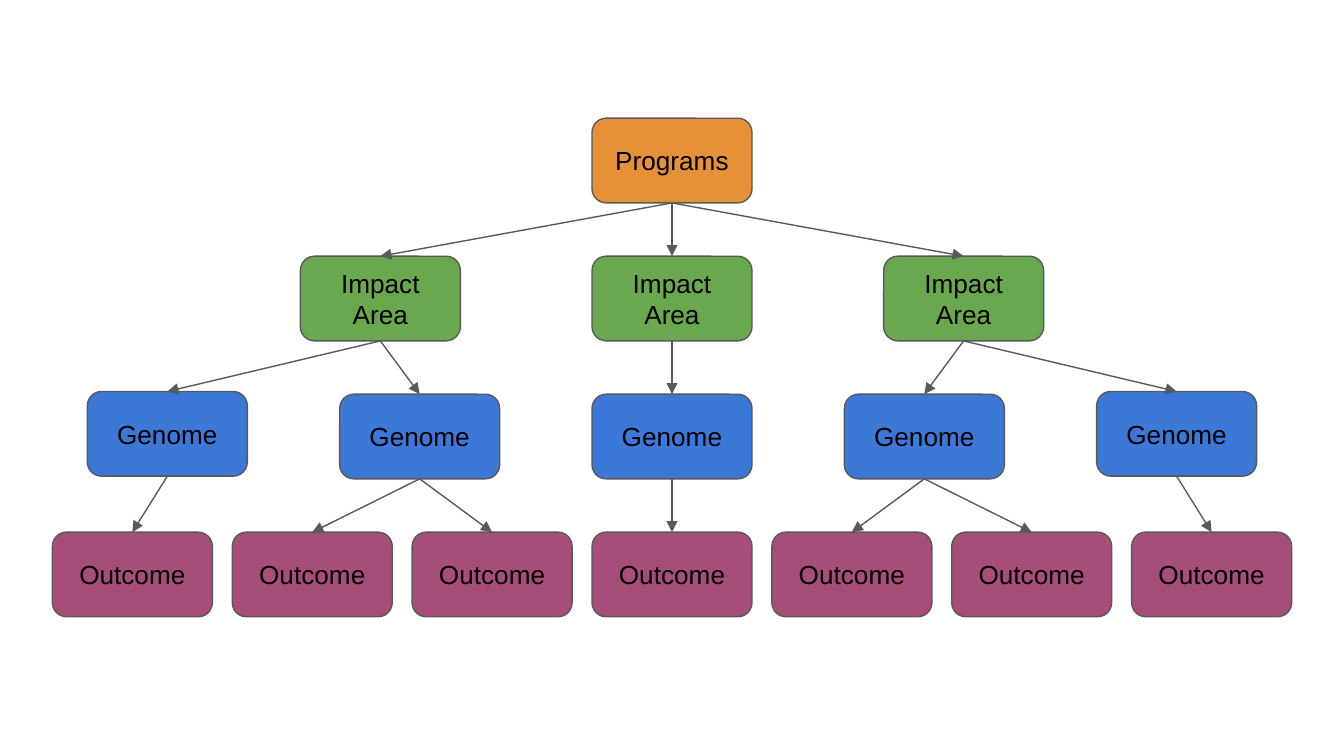
from lxml.etree import SubElement
from pptx import Presentation
from pptx.dml.color import RGBColor
from pptx.enum.shapes import MSO_CONNECTOR, MSO_SHAPE
from pptx.enum.text import MSO_ANCHOR, PP_ALIGN
from pptx.oxml.ns import qn
from pptx.util import Inches, Pt

WIDTH = 10
HEIGHT = WIDTH * 9 / 16
BOX_W, BOX_H = 1.19, 0.63
TOP, LAST = 0.88, 3.96
PITCH = (LAST - TOP) / 3
LIFT = 0.02

BLACK = RGBColor(0x00, 0x00, 0x00)
GRAY = RGBColor(0x59, 0x59, 0x59)
ORANGE = RGBColor(0xE6, 0x91, 0x38)
GREEN = RGBColor(0x6A, 0xA8, 0x4F)
BLUE = RGBColor(0x3C, 0x78, 0xD8)
PLUM = RGBColor(0xA6, 0x4D, 0x79)

LEVELS = [
    ("Programs", ORANGE, 0, [0]),
    ("Impact Area", GREEN, 2.17, [-1, 0, 1]),
    ("Genome", BLUE, 7.51 / 4, [-2, -1, 0, 1, 2]),
    ("Outcome", PLUM, 8.03 / 6, [-3, -2, -1, 0, 1, 2, 3]),
]
PARENTS = [[0, 0, 0], [0, 0, 1, 2, 2], [0, 1, 1, 2, 3, 3, 4]]


def add_box(slide, text, fill, mid, top):
    """Add a rounded box centred on mid and return it."""
    box = slide.shapes.add_shape(
        MSO_SHAPE.ROUNDED_RECTANGLE, Inches(mid - BOX_W / 2), Inches(top),
        Inches(BOX_W), Inches(BOX_H))
    box.shadow.inherit = False
    box.fill.solid()
    box.fill.fore_color.rgb = fill
    box.line.color.rgb = GRAY
    box.line.width = Pt(0.75)
    frame = box.text_frame
    frame.word_wrap = True
    frame.vertical_anchor = MSO_ANCHOR.MIDDLE
    frame.margin_left = frame.margin_right = Inches(0.1)
    frame.margin_top = frame.margin_bottom = Inches(0.1)
    para = frame.paragraphs[0]
    para.alignment = PP_ALIGN.CENTER
    run = para.add_run()
    run.text = text
    run.font.name = "Arial"
    run.font.size = Pt(14)
    run.font.color.rgb = BLACK
    return box


def add_level(slide, row):
    """Add one row of the tree and return its boxes from left to right."""
    text, fill, gap, slots = LEVELS[row]
    boxes = []
    for slot in slots:
        lift = LIFT if text == "Genome" and abs(slot) == 2 else 0
        top = TOP + row * PITCH - lift
        boxes.append(add_box(slide, text, fill, WIDTH / 2 + slot * gap, top))
    return boxes


def add_arrow(slide, upper, lower):
    """Join the bottom of one box to the top of another with an arrow."""
    arrow = slide.shapes.add_connector(MSO_CONNECTOR.STRAIGHT, 0, 0, 0, 0)
    arrow.begin_connect(upper, 2)
    arrow.end_connect(lower, 0)
    arrow.line.color.rgb = GRAY
    arrow.line.width = Pt(0.75)
    props = arrow.element.spPr
    SubElement(props.find(qn("a:ln")), qn("a:tailEnd"), type="triangle")
    SubElement(props, qn("a:effectLst"))


def main():
    """Build the program tree and save it."""
    deck = Presentation()
    deck.slide_width, deck.slide_height = Inches(WIDTH), Inches(HEIGHT)
    slide = deck.slides.add_slide(deck.slide_layouts[6])
    tree = [add_level(slide, row) for row in range(len(LEVELS))]
    for uppers, lowers, links in zip(tree, tree[1:], PARENTS):
        for lower, link in zip(lowers, links):
            add_arrow(slide, uppers[link], lower)
    deck.save("out.pptx")


if __name__ == "__main__":
    main()
